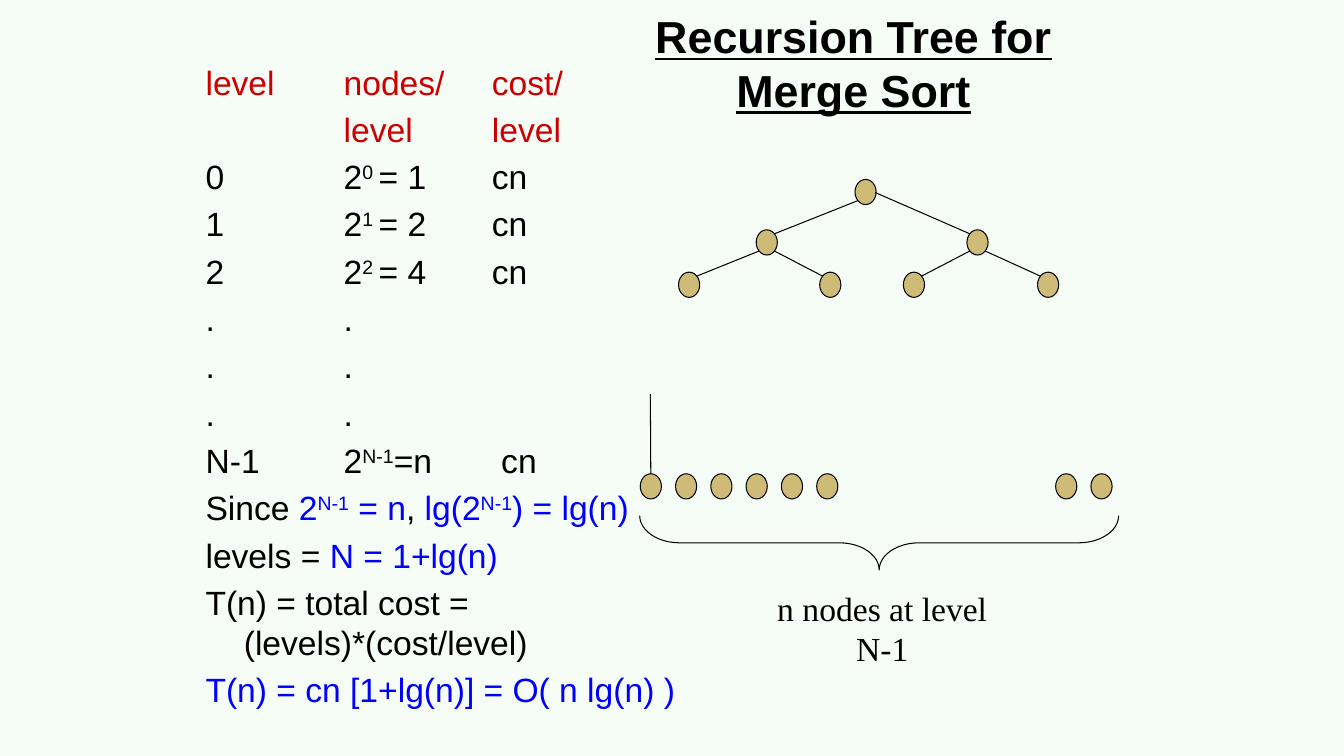
from lxml import etree
from pptx import Presentation
from pptx.dml.color import RGBColor
from pptx.enum import shapes, text
from pptx.oxml.ns import qn
from pptx.util import Inches, Pt

BLACK, RED, BLUE, TAN = "000000", "CC0000", "0000FF", "CDBB77"
NODE_WIDTH, NODE_HEIGHT = 0.21, 0.25


def color(value):
    return RGBColor.from_string(value)


def add_span(para, words, shade, size=24, name="Arial", raised=False):
    """Append one run; raised makes it a superscript."""
    span = para.add_run()
    span.text = words
    span.font.size = Pt(size)
    span.font.name = name
    span.font.color.rgb = color(shade)
    if raised:
        span.font._element.set("baseline", "30000")
    return span


deck = Presentation()
deck.slide_width, deck.slide_height = Inches(13.33), Inches(7.5)
page = deck.slides.add_slide(deck.slide_layouts[6])
page.background.fill.solid()
page.background.fill.fore_color.rgb = color("F6FCF6")

# Title
title = page.shapes.add_textbox(Inches(5.8), Inches(0.21), Inches(5.33), Inches(0.83)).text_frame
title.word_wrap = True
title.vertical_anchor = text.MSO_ANCHOR.MIDDLE
title.paragraphs[0].alignment = text.PP_ALIGN.CENTER
heading = add_span(title.paragraphs[0], "Recursion Tree for Merge Sort", BLACK, size=32)
heading.font.bold = heading.font.underline = True

# Cost per level, then the conclusion: each line is a list of (words, colour, raised)
lines = [
    [("level\tnodes/\tcost/", RED, False)],
    [("\tlevel\tlevel", RED, False)],
]
for level, total in enumerate((1, 2, 4)):
    lines.append([(f"{level}\t2", BLACK, False), (f"{level} ", BLACK, True),
                  (f"= {total}\tcn", BLACK, False)])
lines += [[(".\t.", BLACK, False)]] * 3
lines += [
    [("N-1\t2", BLACK, False), ("N-1", BLACK, True), ("=n\t cn", BLACK, False)],
    [("Since ", BLACK, False), ("2", BLUE, False), ("N-1", BLUE, True), (" = n", BLUE, False),
     (", ", BLACK, False), ("lg(2", BLUE, False), ("N-1", BLUE, True), (") = lg(n)", BLUE, False)],
    [("levels = ", BLACK, False), ("N = 1+lg(n)", BLUE, False)],
    [("T(n) = total cost = (levels)*(cost/level)", BLACK, False)],
    [("T(n) = cn [1+lg(n)] = O( n lg(n) )", BLUE, False)],
]
costs = page.shapes.add_textbox(Inches(1.94), Inches(0.56), Inches(5.28), Inches(6.38)).text_frame
costs.word_wrap = True
for index, spans in enumerate(lines):
    para = costs.add_paragraph() if index else costs.paragraphs[0]
    if index:
        para.space_before = Pt(5)
    properties = para._p.get_or_add_pPr()
    if "\t" in spans[0][0]:
        stops = etree.SubElement(properties, qn("a:tabLst"))
        for column in (1.37, 2.84):
            etree.SubElement(stops, qn("a:tab"), pos=str(Inches(column)), algn="l")
    else:
        properties.set("marL", str(Inches(0.38)))
        properties.set("indent", str(Inches(-0.38)))
    for words, shade, raised in spans:
        add_span(para, words, shade, raised=raised)

# Tree nodes: the top three levels, then the leaves
tree = [(8.48, 1.78), (7.5, 2.28), (9.59, 2.28),
        (6.73, 2.7), (8.13, 2.7), (8.96, 2.7), (10.29, 2.7)]
leaves = [(6.35 + 0.35 * step, 4.7) for step in range(6)] + [(10.47, 4.7), (10.82, 4.7)]
nodes = []
for left, top in tree + leaves:
    node = page.shapes.add_shape(shapes.MSO_SHAPE.OVAL, Inches(left), Inches(top),
                                 Inches(NODE_WIDTH), Inches(NODE_HEIGHT))
    node.shadow.inherit = False
    node.fill.solid()
    node.fill.fore_color.rgb = color(TAN)
    node.line.color.rgb = color(BLACK)
    node.line.width = Pt(0.75)
    nodes.append(node)

# Branches: the children of node i are 2i + 1 (left) and 2i + 2 (right)
branches = []
for child in range(1, len(tree)):
    parent = (child - 1) // 2
    start_x, end_x = (0.03, 0.18) if child % 2 else (0.18, 0.03)
    start_y = 0.21
    if child == 2:
        start_x, start_y = 0.2, 0.13
    branches.append((tree[parent][0] + start_x, tree[parent][1] + start_y,
                     tree[child][0] + end_x, tree[child][1] + 0.04))
branches.append((6.46, 4.7, 6.45, 3.91))
for branch in branches:
    edge = page.shapes.add_connector(shapes.MSO_CONNECTOR.STRAIGHT, *map(Inches, branch))
    edge.line.color.rgb = color(BLACK)
    edge.line.width = Pt(0.75)
    etree.SubElement(edge._element.spPr, qn("a:effectLst"))
edge.begin_connect(nodes[len(tree)], 0)

# Brace under the leaves, with its label
brace = page.shapes.add_shape(shapes.MSO_SHAPE.LEFT_BRACE, Inches(8.45), Inches(3.01),
                              Inches(0.54), Inches(4.75))
brace.rotation = 270
brace.adjustments[0], brace.adjustments[1] = 0.73, 0.5
brace.shadow.inherit = False
brace.fill.background()
brace.line.color.rgb = color(BLACK)
brace.line.width = Pt(0.75)

label = page.shapes.add_textbox(Inches(7.31), Inches(5.78), Inches(2.88), Inches(0.5)).text_frame
label.word_wrap = False
label.paragraphs[0].alignment = text.PP_ALIGN.CENTER
add_span(label.paragraphs[0], "n nodes at level N-1", BLACK, name="Times New Roman")

deck.save("out.pptx")
